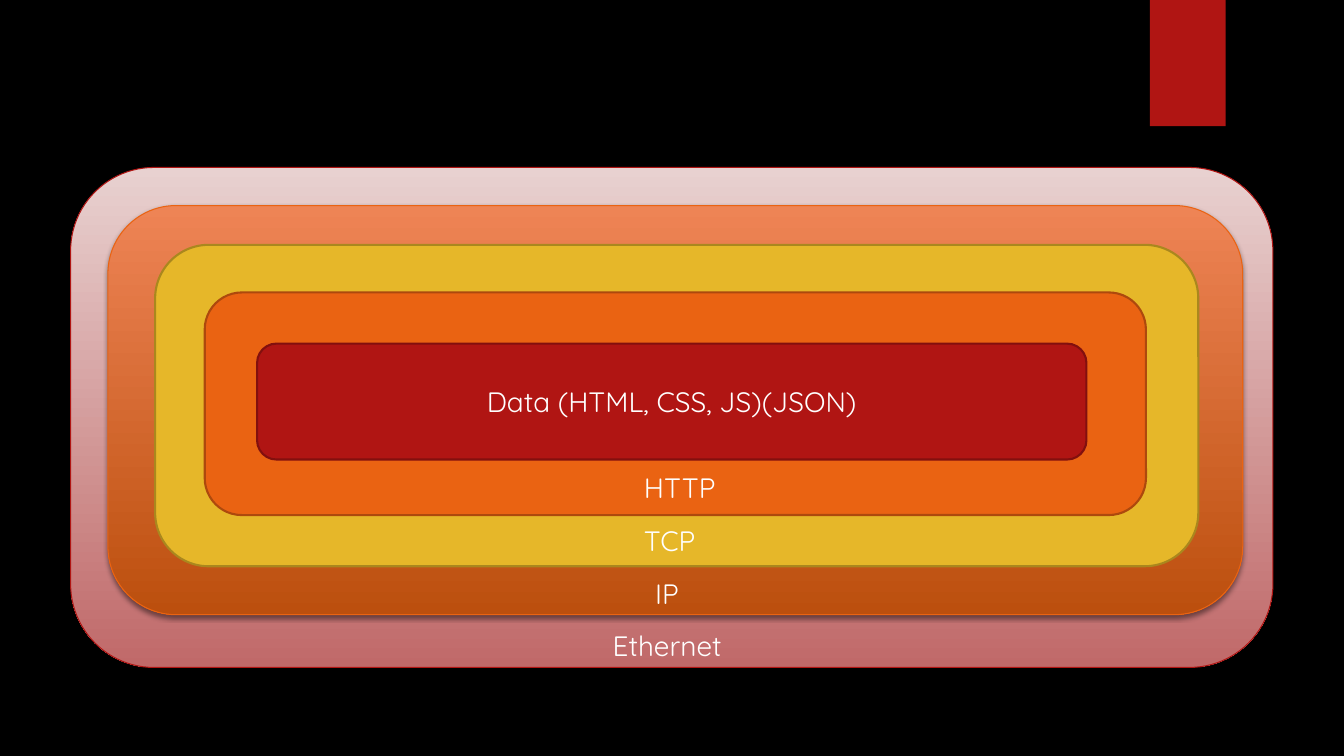
from lxml import etree
from pptx import Presentation
from pptx.dml.color import RGBColor
from pptx.enum.shapes import MSO_SHAPE
from pptx.enum.text import MSO_ANCHOR, MSO_AUTO_SIZE, PP_ALIGN
from pptx.oxml import parse_xml
from pptx.util import Cm, Pt

RECT, ROUND = MSO_SHAPE.RECTANGLE, MSO_SHAPE.ROUNDED_RECTANGLE
MIDDLE, CENTER = MSO_ANCHOR.MIDDLE, PP_ALIGN.CENTER
GROW = MSO_AUTO_SIZE.SHAPE_TO_FIT_TEXT
BLANK = 6
FONT = "Quicksand"
NS = "http://schemas.openxmlformats.org/drawingml/2006/main"

HEX = {
    "black": "000000", "white": "FFFFFF",
    "red": "B01513", "maroon": "82100E",
    "orange": "EA6312", "rust": "AD490D",
    "yellow": "E6B729", "olive": "AA871E",
    "blush": "E8D1D0", "rose": "C06969",
    "peach": "EE8455", "clay": "BC4F0E",
}

# Outer to inner: left, top, width, height in cm, fills, line, points, shadow
LAYERS = [
    (1.78, 4.22, 30.3, 12.6, ["blush", "rose"], "red", 0.75, False),
    (2.72, 5.18, 28.6, 10.31, ["peach", "clay"], "orange", 0.75, True),
    (3.91, 6.17, 26.29, 8.1, ["yellow"], "olive", 1.5, False),
    (5.16, 7.37, 23.72, 5.61, ["orange"], "rust", 1.5, False),
    (6.48, 8.66, 20.9, 2.92, ["red"], "maroon", 1.5, False),
]
# Inner to outer: text, left, width in cm
LABELS = [
    ("HTTP", 15.98, 3.3),
    ("TCP", 15.98, 3.3),
    ("IP", 16.26, 2.77),
    ("Ethernet", 15.19, 4.09),
]
LABEL_TOP, LABEL_STEP = 11.73, 1.33


def color(name):
    return RGBColor.from_string(HEX[name])


def paint(fill, names):
    """Fill with one colour, or with a gradient from top to bottom."""
    if len(names) == 1:
        fill.solid()
        fill.fore_color.rgb = color(names[0])
        return
    fill.gradient()
    fill.gradient_angle = 270
    for stop, name in zip(fill.gradient_stops, names):
        stop.color.rgb = color(name)


def shade(shape):
    """Add a soft shadow straight below the shape."""
    effects = shape._element.spPr.find(f"{{{NS}}}effectLst")
    effects.append(parse_xml(
        f'<a:outerShdw xmlns:a="{NS}" blurRad="{Pt(3)}" dist="{Pt(2)}" '
        f'dir="5400000" rotWithShape="0"><a:srgbClr val="{HEX["black"]}">'
        '<a:alpha val="45000"/></a:srgbClr></a:outerShdw>'))


def add_box(slide, kind, box, fills, line=None, width=0, shadow=False):
    shape = slide.shapes.add_shape(kind, *map(Cm, box))
    shape.shadow.inherit = False
    paint(shape.fill, fills)
    if line:
        shape.line.color.rgb = color(line)
        shape.line.width = Pt(width)
    else:
        shape.line.fill.background()
    if shadow:
        shade(shape)
    return shape


def write(frame, text):
    para = frame.paragraphs[0]
    para.text = text
    para.font.name = FONT
    para.font.size = Pt(20)
    para.font.color.rgb = color("white")
    return para


def add_label(slide, text, left, top, width):
    frame = slide.shapes.add_textbox(
        Cm(left), Cm(top), Cm(width), Cm(1.11)).text_frame
    frame.word_wrap = True
    frame.auto_size = GROW
    write(frame, text)


def main():
    deck = Presentation()
    deck.slide_width, deck.slide_height = Cm(33.87), Cm(19.05)
    slide = deck.slides.add_slide(deck.slide_layouts[BLANK])
    paint(slide.background.fill, ["black"])

    # Tab at the top edge
    add_box(slide, RECT, (28.98, 0, 1.91, 3.18), ["red"], shadow=True)

    # Nested layers; the innermost holds the data
    for *box, fills, line, width, shadow in LAYERS:
        layer = add_box(slide, ROUND, box, fills, line, width, shadow)
    frame = layer.text_frame
    frame.vertical_anchor = MIDDLE
    write(frame, "Data (HTML, CSS, JS)(JSON)").alignment = CENTER

    # Layer names
    for row, (text, left, width) in enumerate(LABELS):
        add_label(slide, text, left, LABEL_TOP + row * LABEL_STEP, width)

    deck.save("out.pptx")


if __name__ == "__main__":
    main()
